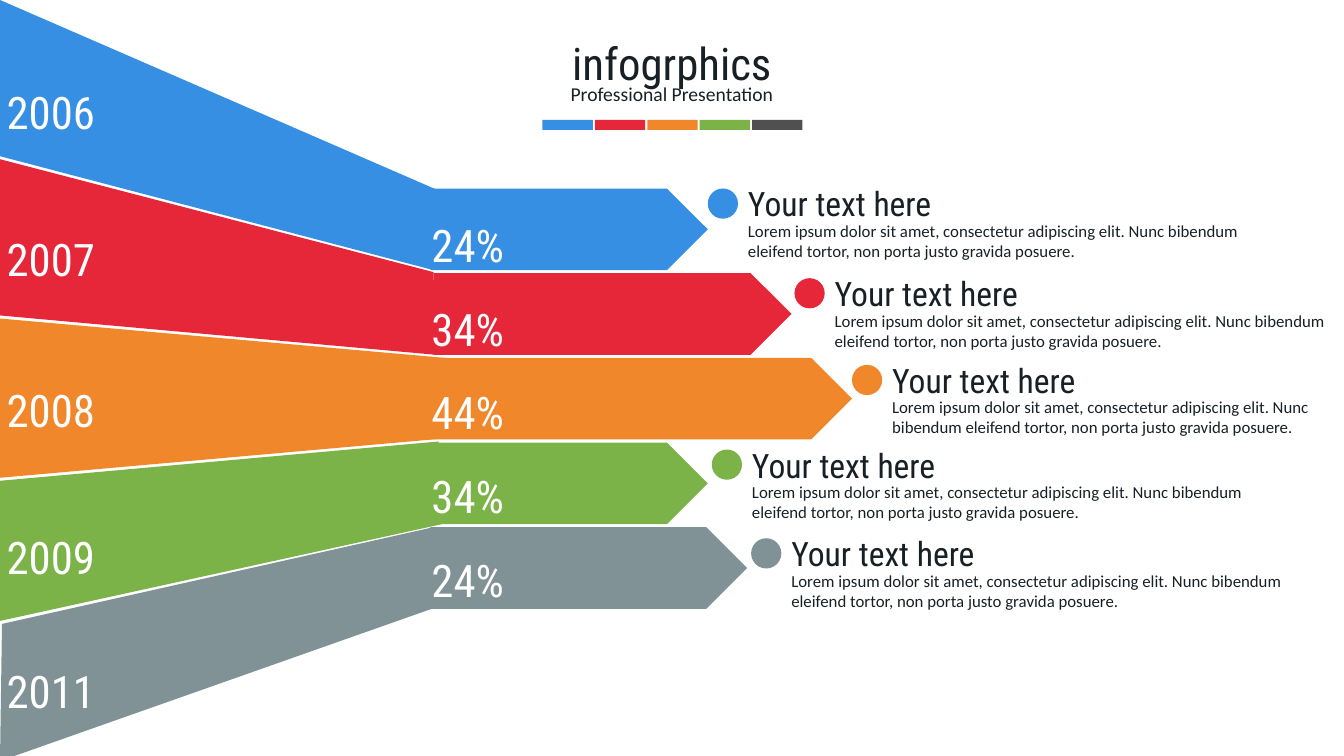
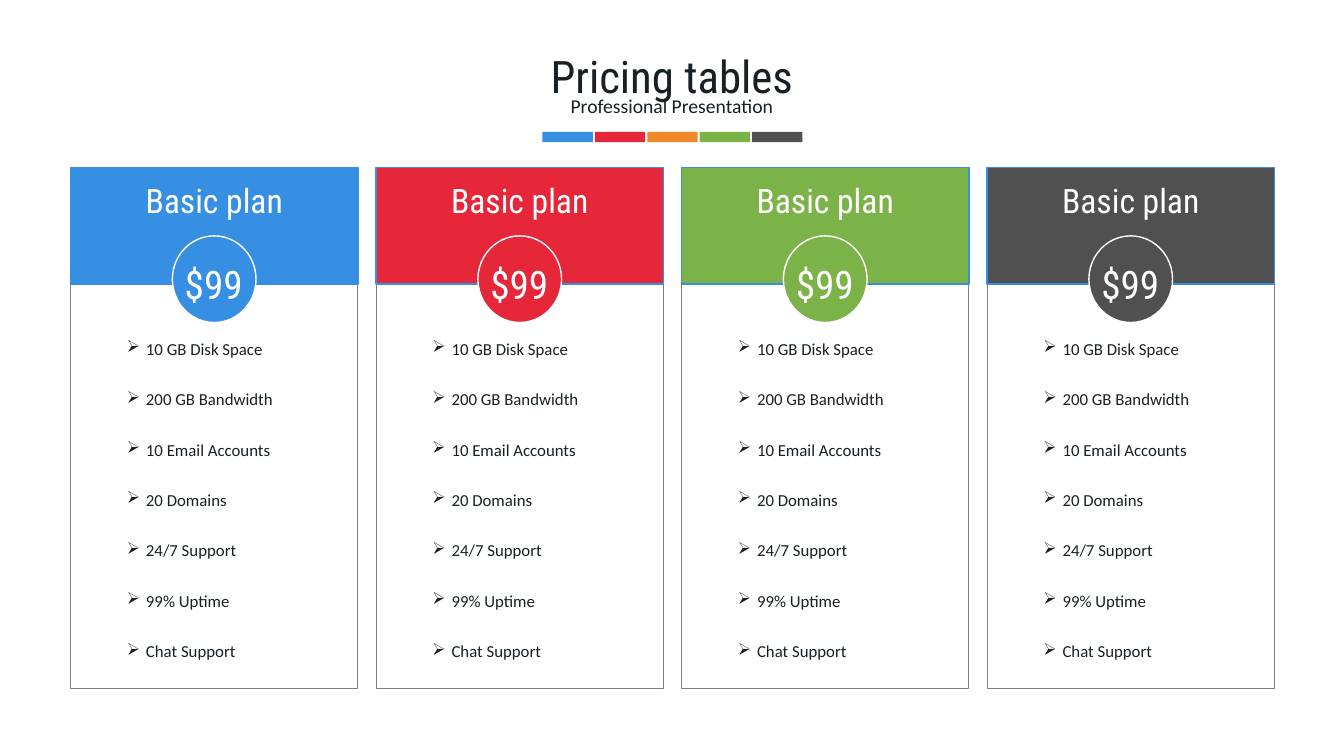
"""Builds a ribbon infographic slide and a pricing slide."""
from lxml.etree import SubElement
from pptx import Presentation
from pptx.dml.color import RGBColor
from pptx.enum.shapes import MSO_SHAPE as Preset
from pptx.enum.text import MSO_AUTO_SIZE as AutoSize, PP_ALIGN as Align
from pptx.oxml.ns import qn
from pptx.util import Inches, Pt

COLORS = {
    "blue": "368FE2", "red": "E52739", "orange": "F0872A", "green": "7CB349",
    "dark": "505050", "slate": "809295", "ink": "182025", "white": "FFFFFF",
    "border": "808080",
}
HEADING, BODY = "Roboto Condensed", "Calibri"
LOREM = ("Lorem ipsum dolor sit amet, consectetur adipiscing elit. "
         "Nunc bibendum eleifend tortor, non porta justo gravida posuere.")
FEATURES = ["10 GB Disk Space", "200 GB Bandwidth", "10 Email Accounts",
            "20 Domains", "24/7 Support", "99% Uptime", "Chat Support"]


class Deck:
    def __init__(self):
        self.prs = Presentation()
        self.prs.slide_width, self.prs.slide_height = Inches(13.33), Inches(7.5)
        self.slide = None

    def color(self, name):
        return RGBColor.from_string(COLORS[name])

    def new_slide(self, title, top):
        self.slide = self.prs.slides.add_slide(self.prs.slide_layouts[6])
        self.text(title, (0, top, 13.33, 0.64), 32, align=Align.CENTER)
        self.text("Professional Presentation", (0.68, top + 0.45, 11.97, 0.34),
                  14, BODY, align=Align.CENTER)
        for i, name in enumerate(["blue", "red", "orange", "green", "dark"]):
            self.shape(Preset.RECTANGLE, (5.38 + 0.52 * i, top + 0.88, 0.5, 0.1), name)

    def paint(self, shape, fill, line=None, width=1):
        shape.shadow.inherit = False
        if fill:
            shape.fill.solid()
            shape.fill.fore_color.rgb = self.color(fill)
        else:
            shape.fill.background()
        if line:
            shape.line.color.rgb = self.color(line)
            shape.line.width = Pt(width)
        else:
            shape.line.fill.background()
        return shape

    def shape(self, preset, box, fill, line=None, width=1):
        added = self.slide.shapes.add_shape(preset, *map(Inches, box))
        return self.paint(added, fill, line, width)

    def outline(self, points, fill):
        start, *rest = [(Inches(x), Inches(y)) for x, y in points]
        builder = self.slide.shapes.build_freeform(*start)
        builder.add_line_segments(rest, close=True)
        return self.paint(builder.convert_to_shape(), fill)

    def text(self, words, box, size, font=HEADING, color="ink", align=Align.LEFT):
        frame = self.slide.shapes.add_textbox(*map(Inches, box)).text_frame
        frame.word_wrap = True
        frame.auto_size = AutoSize.SHAPE_TO_FIT_TEXT
        frame.text = words
        for paragraph in frame.paragraphs:
            paragraph.alignment = align
            for run in paragraph.runs:
                run.font.size, run.font.name = Pt(size), font
                run.font.color.rgb = self.color(color)
        return frame

    def bullets(self, items, box):
        for paragraph in self.text("\n".join(items), box, 12, BODY).paragraphs:
            paragraph.line_spacing = 2.5
            props = paragraph._p.get_or_add_pPr()
            props.set("marL", str(Inches(0.19)))
            props.set("indent", str(Inches(-0.19)))
            SubElement(props, qn("a:buChar")).set("char", "➢")

    def callout(self, left, top, color, width):
        self.text(LOREM, (left + 0.3, top + 0.27, width, 0.5), 12, BODY)
        self.text("Your text here", (left + 0.3, top - 0.1, 3.17, 0.5), 24)
        self.shape(Preset.OVAL, (left, top, 0.3, 0.3), color)

    def plan(self, left, color):
        self.shape(Preset.RECTANGLE, (left, 2.45, 2.85, 4.38), None, "border", 0)
        self.bullets(FEATURES, (left + 0.46, 3.01, 1.93, 3.64))
        self.shape(Preset.RECTANGLE, (left, 1.66, 2.85, 1.16), color, "blue")
        self.text("Basic plan", (left, 1.74, 2.85, 0.5), 24,
                  color="white", align=Align.CENTER)
        self.shape(Preset.OVAL, (left + 1.01, 2.34, 0.83, 0.86), color, "white")
        self.text("$99", (left + 0.61, 2.53, 1.62, 0.57), 28,
                  color="white", align=Align.CENTER)


def build_infographic(deck):
    deck.new_slide("infogrphics", 0.31)
    ribbons = {
        "blue": [(0, 0), (4.35, 1.89), (4.3, 2.68), (0, 1.55)],
        "red": [(0, 1.58), (4.3, 2.7), (4.32, 3.52), (0, 3.13)],
        "green": [(0, 4.77), (4.35, 4.38), (4.43, 5.19), (0, 6.16)],
        "slate": [(0.02, 6.19), (4.3, 5.23), (4.31, 6.03), (0, 7.55)],
    }
    deck.shape(Preset.TRAPEZOID, (1.44, 1.72, 1.58, 4.46), "orange").rotation = 90
    for color, points in ribbons.items():
        deck.outline(points, color)
    rows = [
        ("blue", "2006", 0.79, "24%", 4.27, 2.75, (7.02, 1.87), 5.21),
        ("red", "2007", 2.25, "34%", 4.3, 3.55, (7.88, 2.76), 5.21),
        ("orange", "2008", 3.75, "44%", 3.15, 5.3, (8.45, 3.62), 4.47),
        ("green", "2009", 5.21, "34%", 4.27, 2.75, (7.06, 4.46), 5.21),
        ("slate", "2011", 6.54, "24%", 4.27, 3.14, (7.45, 5.34), 5.21),
    ]
    for i, (color, year, year_top, share, left, length, dot, width) in enumerate(rows):
        deck.shape(Preset.PENTAGON, (left, 1.87 + 0.84 * i, length, 0.81), color)
        deck.text(year, (-0.14, year_top, 1.29, 0.37), 32,
                  color="white", align=Align.CENTER)
        deck.text(share, (4.12, 2.11 + 0.83 * i, 1.04, 0.37), 32,
                  color="white", align=Align.CENTER)
        deck.callout(*dot, color, width)


def build_pricing(deck):
    deck.new_slide("Pricing tables", 0.43)
    for i, color in enumerate(["blue", "red", "green", "dark"]):
        deck.plan(0.7 + 3.03 * i, color)


def main():
    deck = Deck()
    build_infographic(deck)
    build_pricing(deck)
    deck.prs.save("out.pptx")


if __name__ == "__main__":
    main()
